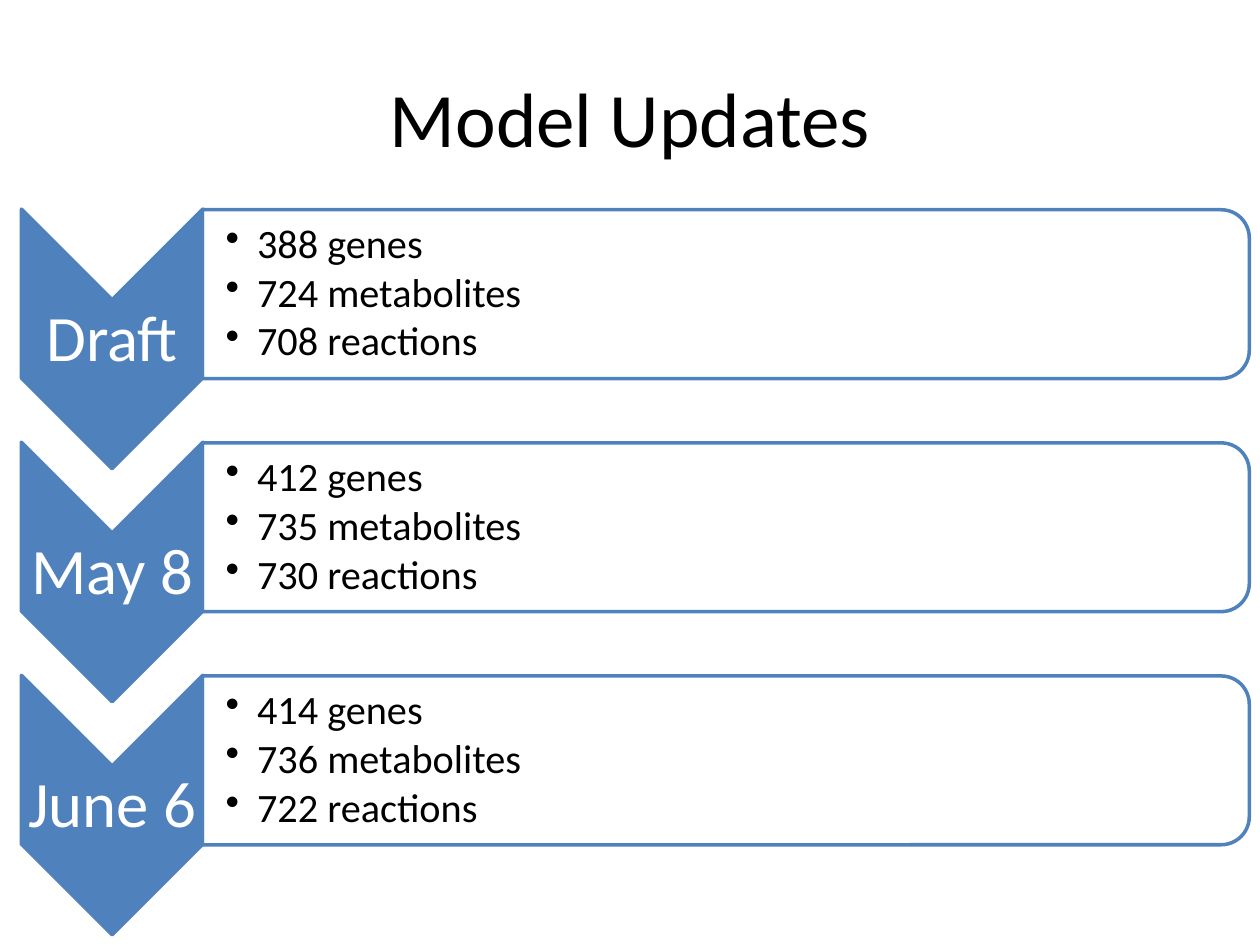
"""Build the Model Updates slide: three dated chevrons, each with its model counts."""
from lxml import etree
from pptx import Presentation
from pptx import util as u
from pptx.dml import color
from pptx.enum import shapes, text
from pptx.oxml import ns

COLOURS = {"blue": "4F81BD", "white": "FFFFFF", "black": "000000"}
UPDATES = [
    ("Draft", ["388 genes", "724 metabolites", "708 reactions"]),
    ("May 8", ["412 genes", "735 metabolites", "730 reactions"]),
    ("June 6", ["414 genes", "736 metabolites", "722 reactions"]),
]
ROW_PITCH = 1.85
SHAPES = [
    (shapes.MSO_SHAPE.CHEVRON, (-0.14, 1.97, 2.06, 1.44), "blue"),
    (shapes.MSO_SHAPE.ROUND_2_SAME_RECTANGLE, (5.09, -1.82, 1.34, 8.31), "white"),
]
LABEL = {"box": (0.17, 2.39, 1.44, 0.62), "left": 0.03, "inset": 0.03, "size": 37,
         "colour": "white", "align": text.PP_ALIGN.CENTER, "after": 0}
COUNTS = {"box": (1.61, 1.73, 8.25, 1.21), "left": 0.18, "inset": 0.02, "size": 23,
          "colour": "black", "align": text.PP_ALIGN.LEFT, "after": 3}


def format_text(frame, lines, size, colour, paragraph_format):
    frame.text = "\n".join(lines)
    frame.vertical_anchor = text.MSO_ANCHOR.MIDDLE
    for paragraph in frame.paragraphs:
        for name, value in paragraph_format.items():
            setattr(paragraph, name, value)
        font = paragraph.runs[0].font
        font.name, font.size = "Calibri", u.Pt(size)
        font.color.rgb = color.RGBColor.from_string(COLOURS[colour])


def add_text(slide, lines, style, offset):
    left, top, width, height = style["box"]
    box = slide.shapes.add_textbox(*map(u.Inches, (left, top + offset, width, height)))
    frame = box.text_frame
    margins = {"margin_left": style["left"], "margin_top": style["inset"],
               "margin_right": style["inset"], "margin_bottom": style["inset"]}
    for name, value in margins.items():
        setattr(frame, name, u.Inches(value))
    frame.word_wrap = True
    format_text(frame, lines, style["size"], style["colour"],
                {"alignment": style["align"], "line_spacing": 0.9,
                 "space_after": u.Pt(style["after"])})
    return frame


presentation = Presentation()
presentation.slide_width, presentation.slide_height = u.Inches(10), u.Inches(7.5)
slide = presentation.slides.add_slide(presentation.slide_layouts[5])

title = slide.shapes.title
title_place = {"left": 0.5, "top": 0.3, "width": 9, "height": 1.25}
for name, value in title_place.items():
    setattr(title, name, u.Inches(value))
format_text(title.text_frame, ["Model Updates"], 44, "black",
            {"alignment": text.PP_ALIGN.CENTER})

for row, (label, counts) in enumerate(UPDATES):
    offset = row * ROW_PITCH
    for (preset, (left, top, width, height), fill), style, lines in zip(
            SHAPES, (LABEL, COUNTS), ([label], counts)):
        shape = slide.shapes.add_shape(
            preset, *map(u.Inches, (left, top + offset, width, height)))
        shape.rotation = 90
        shape.shadow.inherit = False
        shape.fill.solid()
        shape.fill.fore_color.rgb = color.RGBColor.from_string(COLOURS[fill])
        shape.line.color.rgb = color.RGBColor.from_string(COLOURS["blue"])
        shape.line.width = u.Pt(2)
        if fill == "white":
            fill_colour = shape.fill._xPr.find(ns.qn("a:solidFill"))[0]
            etree.SubElement(fill_colour, ns.qn("a:alpha"), val="90000")
        frame = add_text(slide, lines, style, offset)
        if style is COUNTS:
            for paragraph in frame.paragraphs:
                paragraph.level = 1
                properties = paragraph._p.get_or_add_pPr()
                properties.set("marL", str(u.Inches(0.25)))
                properties.set("indent", str(u.Inches(-0.25)))
                etree.SubElement(properties, ns.qn("a:buChar"), char="•")

presentation.save("out.pptx")
